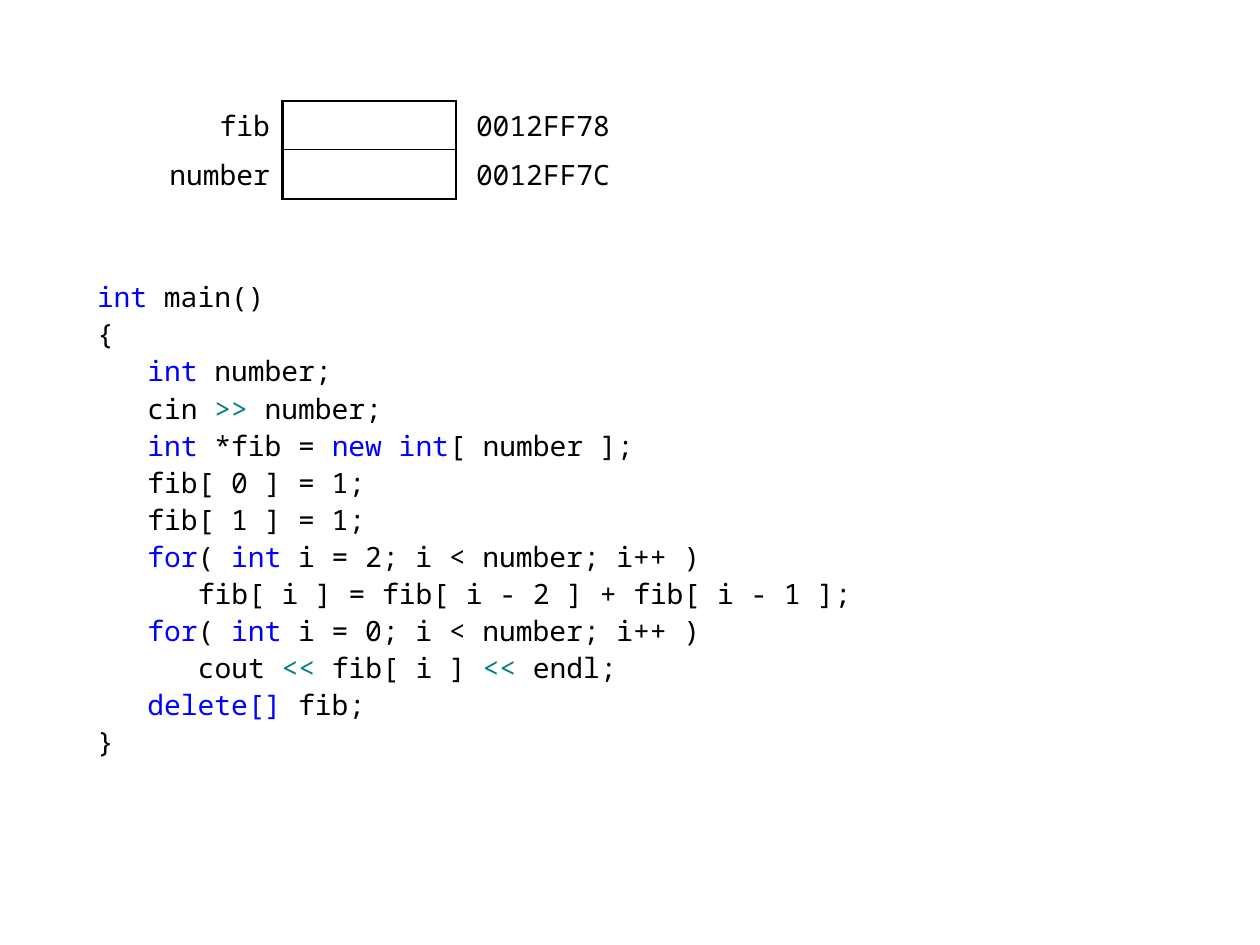
from lxml import etree
from pptx import Presentation, util as u
from pptx.enum import text
from pptx.dml.color import RGBColor
from pptx.oxml.ns import qn

FONT = "Noto Sans Mono"
COLORS = {"plain": "000000", "keyword": "0000FF", "operator": "008080"}
NO_STYLE = "{2D5ABB26-0587-4C30-8999-92F81FD0307C}"
INDENT = 0.4
VARIABLES = [("fib", "0012FF78"), ("number", "0012FF7C")]
CODE = [
    (0, "|int| main()"),
    (0, "{"),
    (1, "|int| number;"),
    (1, "cin |>>| number;"),
    (1, "|int| *fib = |new int|[ number ];"),
    (1, "fib[ 0 ] = 1;"),
    (1, "fib[ 1 ] = 1;"),
    (1, "|for|( |int| i = 2; i < number; i++ )"),
    (2, "fib[ i ] = fib[ i - 2 ] + fib[ i - 1 ];"),
    (1, "|for|( |int| i = 0; i < number; i++ )"),
    (2, "cout |<<| fib[ i ] |<<| endl;"),
    (1, "|delete[]| fib;"),
    (0, "}"),
]


def add_run(p, content, color="plain", size=16):
    r = p.add_run()
    r.text = content
    r.font.name = FONT
    r.font.size = u.Pt(size)
    r.font.color.rgb = RGBColor.from_string(COLORS[color])


def set_border(cell, side, width):
    ln = etree.SubElement(cell._tc.get_or_add_tcPr(), qn(f"a:ln{side}"), w=str(u.Pt(width)))
    fill = etree.SubElement(ln, qn("a:solidFill"))
    etree.SubElement(fill, qn("a:srgbClr"), val=COLORS["plain"])


def add_memory_table(slide, left, top, width, height):
    frame = slide.shapes.add_table(len(VARIABLES), 3, left, top, width, height)
    table = frame.table
    table.first_row = table.horz_banding = False
    frame._element.find(".//" + qn("a:tableStyleId")).text = NO_STYLE
    for column, share in zip(table.columns, (0.3, 0.35, 0.35)):
        column.width = int(width * share)
    last = len(VARIABLES) - 1
    for i, (name, address) in enumerate(VARIABLES):
        borders = [
            {"R": 1.5},
            {"L": 1.5, "R": 1.5, "T": 0.75 if i else 1.5, "B": 1.5 if i == last else 0.75},
            {"L": 1.5},
        ]
        aligns = [text.PP_ALIGN.RIGHT, text.PP_ALIGN.CENTER, text.PP_ALIGN.CENTER]
        for j, content in enumerate((name, "", address)):
            cell = table.cell(i, j)
            cell.margin_left = cell.margin_right = u.Inches(0.08 if j else 0.1)
            cell.margin_top = cell.margin_bottom = u.Inches(0.04)
            cell.vertical_anchor = text.MSO_ANCHOR.MIDDLE
            for side, weight in borders[j].items():
                set_border(cell, side, weight)
            cell.fill.background()
            p = cell.text_frame.paragraphs[0]
            p.alignment = aligns[j]
            if content:
                add_run(p, content)


def fill_code(sp, left, top, width, height):
    sp.left, sp.top, sp.width, sp.height = left, top, width, height
    tf = sp.text_frame
    tf.word_wrap = True
    tf.auto_size = text.MSO_AUTO_SIZE.NONE
    tf.vertical_anchor = text.MSO_ANCHOR.TOP
    for i, (level, line) in enumerate(CODE):
        p = tf.add_paragraph() if i else tf.paragraphs[0]
        p.space_before = u.Pt(2)
        pPr = p._p.get_or_add_pPr()
        pPr.set("marL", str(u.Inches(level * INDENT)))
        pPr.set("indent", "0")
        etree.SubElement(pPr, qn("a:buNone"))
        for k, part in enumerate(line.split("|")):
            color = "plain" if k % 2 == 0 else "operator" if part in ("<<", ">>") else "keyword"
            if part:
                add_run(p, part, color=color)


def main():
    prs = Presentation()
    prs.slide_width, prs.slide_height = u.Inches(10), u.Inches(7.5)
    slide = prs.slides.add_slide(prs.slide_layouts[1])
    title = slide.shapes.title._element
    title.getparent().remove(title)
    fill_code(slide.placeholders[1], u.Inches(0.67), u.Inches(2.17), u.Inches(6.3), u.Inches(4.33))
    add_memory_table(slide, u.Inches(1.06), u.Inches(0.8), u.Inches(3.94), u.Inches(0.78))
    prs.save("out.pptx")


if __name__ == "__main__":
    main()
